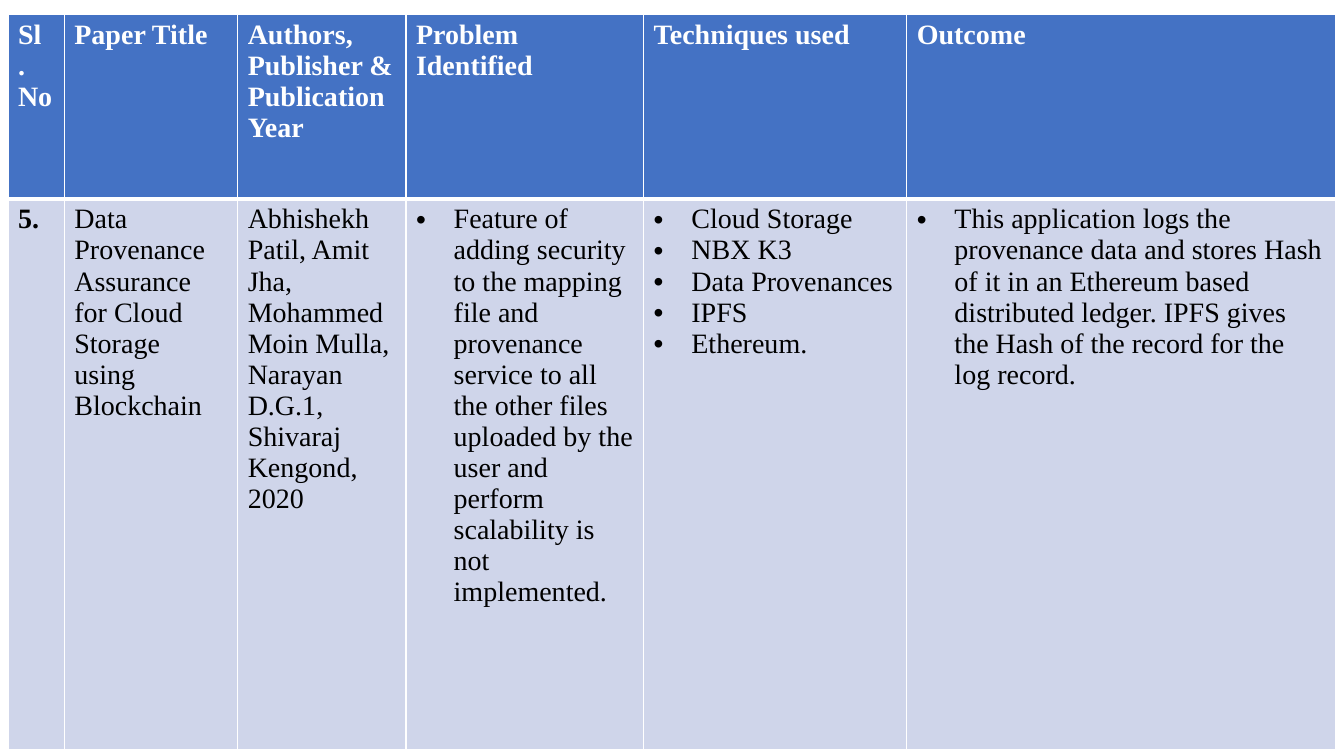
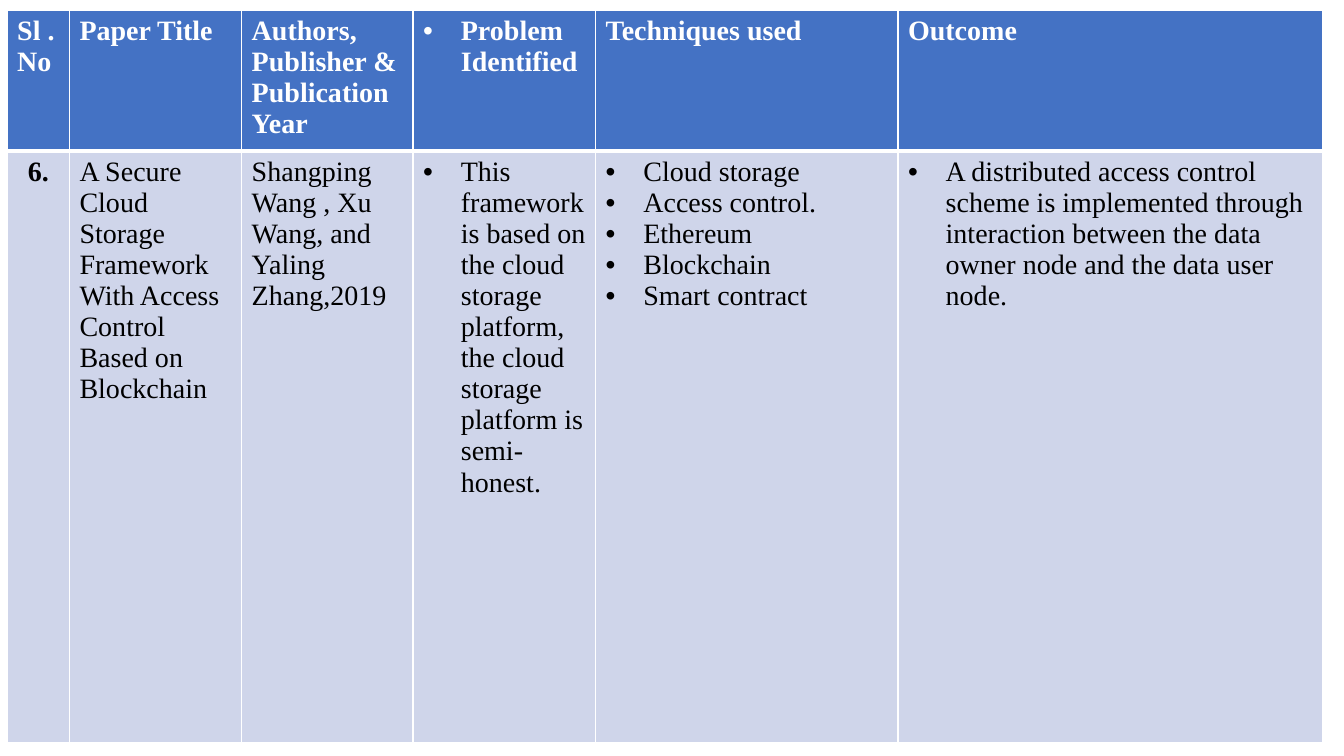
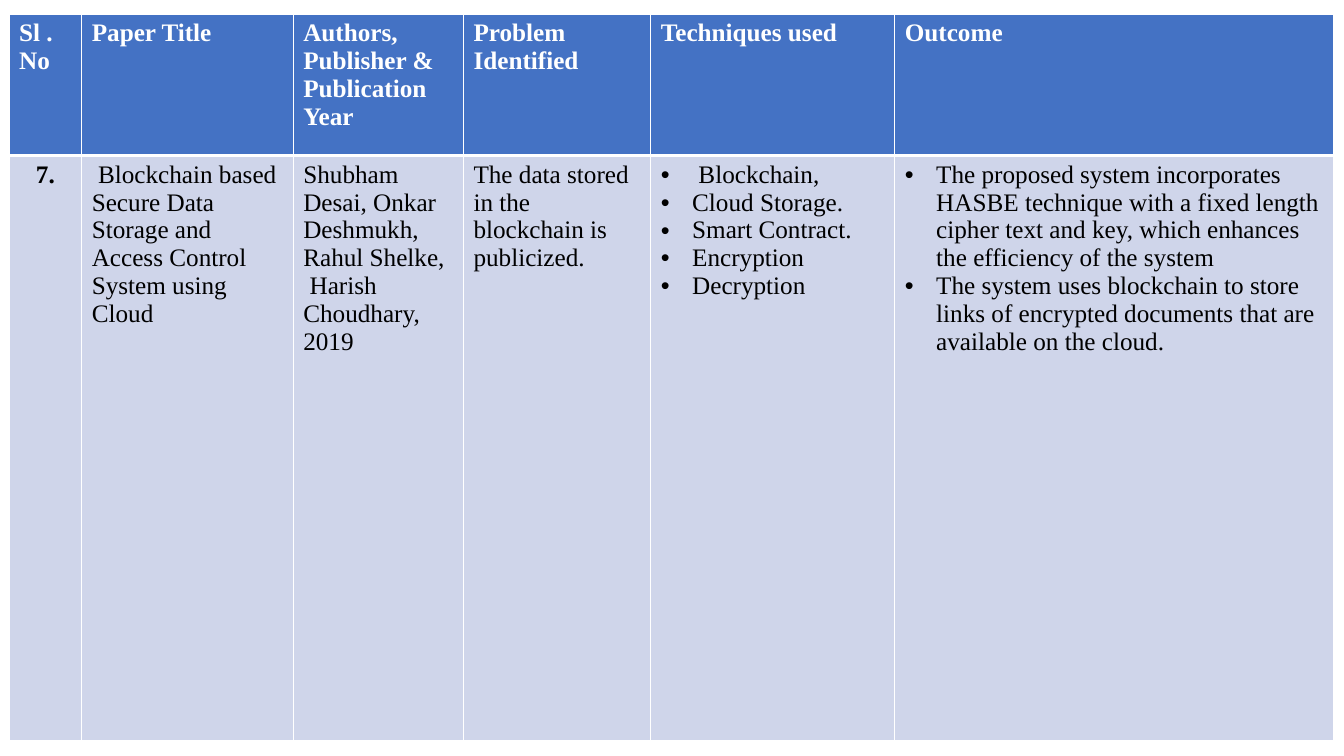
"""Build three literature survey slides, each holding one table."""
from lxml.etree import SubElement
from pptx import Presentation
from pptx.dml.color import RGBColor
from pptx.enum.text import PP_ALIGN
from pptx.oxml.ns import qn
from pptx.util import Cm, Pt

FONT = "Times New Roman"
BLUE, PALE, WHITE, BLACK = "4472C4", "CFD5EA", "FFFFFF", "000000"
THIN, THICK = 1, 3
HEADS = ["Sl . No", "Paper Title", "Authors, Publisher & Publication Year",
         "Problem Identified", "Techniques used", "Outcome"]

# A tuple holds plain lines and a list holds bullets.
PAPERS = [
    dict(
        left=0.2, top=0.36, size=20, indent=0.95, align=PP_ALIGN.LEFT,
        cols=[1.42, 4.37, 4.24, 5.99, 6.63, 10.82], rows=[4.65, 13.87],
        heads=HEADS,
        cells=[
            "5.",
            "Data Provenance Assurance for Cloud Storage using Blockchain",
            ("Abhishekh Patil, Amit Jha, Mohammed Moin Mulla, "
             "Narayan D.G.1, Shivaraj Kengond,", "2020"),
            ["Feature of adding security to the mapping file and provenance "
             "service to all the other files uploaded by the user and "
             "perform scalability is not implemented."],
            ["Cloud Storage", "NBX K3", "Data Provenances", "IPFS",
             "Ethereum."],
            ["This application logs the provenance data and stores Hash of "
             "it in an Ethereum based distributed ledger. IPFS gives the "
             "Hash of the record for the log record."],
        ],
    ),
    dict(
        left=0.18, top=0.25, size=20, indent=0.95, align=PP_ALIGN.CENTER,
        cols=[1.57, 4.34, 4.32, 4.6, 7.62, 10.69], rows=[3.56, 14.91],
        heads=HEADS[:3] + [HEADS[3:4]] + HEADS[4:],
        cells=[
            "6.",
            "A Secure Cloud Storage Framework With Access Control Based on "
            "Blockchain",
            "Shangping Wang , Xu Wang, and Yaling Zhang,2019",
            ["This framework is based on the cloud storage platform, the "
             "cloud storage platform is semi-honest."],
            ["Cloud storage", "Access control.", "Ethereum", "Blockchain",
             "Smart contract"],
            ["A distributed access control scheme is implemented through "
             "interaction between the data owner node and the data user "
             "node."],
        ],
    ),
    dict(
        left=0.23, top=0.36, size=18, indent=0.79, align=PP_ALIGN.CENTER,
        cols=[1.83, 5.33, 4.29, 4.72, 6.15, 11.07], rows=[3.56, 14.73],
        heads=HEADS,
        cells=[
            "7.",
            " Blockchain based Secure Data Storage and Access Control System "
            "using Cloud",
            ("Shubham Desai, Onkar Deshmukh, Rahul Shelke,",
             " Harish Choudhary,", "2019"),
            "The data stored in the blockchain is publicized.",
            [" Blockchain,", "Cloud Storage.", "Smart Contract.",
             "Encryption", "Decryption"],
            ["The proposed system incorporates HASBE technique with a fixed "
             "length cipher text and key, which enhances the efficiency of "
             "the system",
             "The system uses blockchain to store links of encrypted "
             "documents that are available on the cloud."],
        ],
    ),
]


def paint(fill, color):
    fill.solid()
    fill.fore_color.rgb = RGBColor.from_string(color)


def add_edges(cell, top, bottom):
    props = cell._tc.get_or_add_tcPr()
    for side, width in zip("LRTB", (THIN, THIN, top, bottom)):
        line = SubElement(props, qn(f"a:ln{side}"), w=str(Pt(width)))
        fill = SubElement(line, qn("a:solidFill"))
        SubElement(fill, qn("a:srgbClr"), val=WHITE)


def add_bullet(para, indent):
    props = para._p.get_or_add_pPr()
    props.set("marL", str(Cm(indent)))
    props.set("indent", str(-Cm(indent)))
    SubElement(props, qn("a:buFont"), typeface="Arial")
    SubElement(props, qn("a:buChar"), char="•")


def fill_cell(cell, text, paper, color, bold):
    lines = [text] if isinstance(text, str) else text
    frame = cell.text_frame
    frame.text = "\n".join(lines)
    for para in frame.paragraphs:
        if isinstance(text, list):
            add_bullet(para, paper["indent"])
        for run in para.runs:
            run.font.name = FONT
            run.font.size = Pt(paper["size"])
            run.font.bold = bold
            run.font.color.rgb = RGBColor.from_string(color)


def add_paper(deck, paper):
    slide = deck.slides.add_slide(deck.slide_layouts[6])
    cols, rows = paper["cols"], paper["rows"]
    table = slide.shapes.add_table(
        len(rows), len(cols), Cm(paper["left"]), Cm(paper["top"]),
        Cm(sum(cols)), Cm(sum(rows))).table
    for col, width in zip(table.columns, cols):
        col.width = Cm(width)
    for row, height in zip(table.rows, rows):
        row.height = Cm(height)
    for pos, (head, text) in enumerate(zip(paper["heads"], paper["cells"])):
        top, body = table.cell(0, pos), table.cell(1, pos)
        add_edges(top, THIN, THICK)
        add_edges(body, THICK, THIN)
        paint(top.fill, BLUE)
        paint(body.fill, PALE)
        fill_cell(top, head, paper, WHITE, True)
        fill_cell(body, text, paper, BLACK, pos == 0)
    table.cell(1, 0).text_frame.paragraphs[0].alignment = paper["align"]


def main():
    deck = Presentation()
    deck.slide_width, deck.slide_height = Cm(33.87), Cm(19.05)
    for paper in PAPERS:
        add_paper(deck, paper)
    deck.save("out.pptx")


if __name__ == "__main__":
    main()
